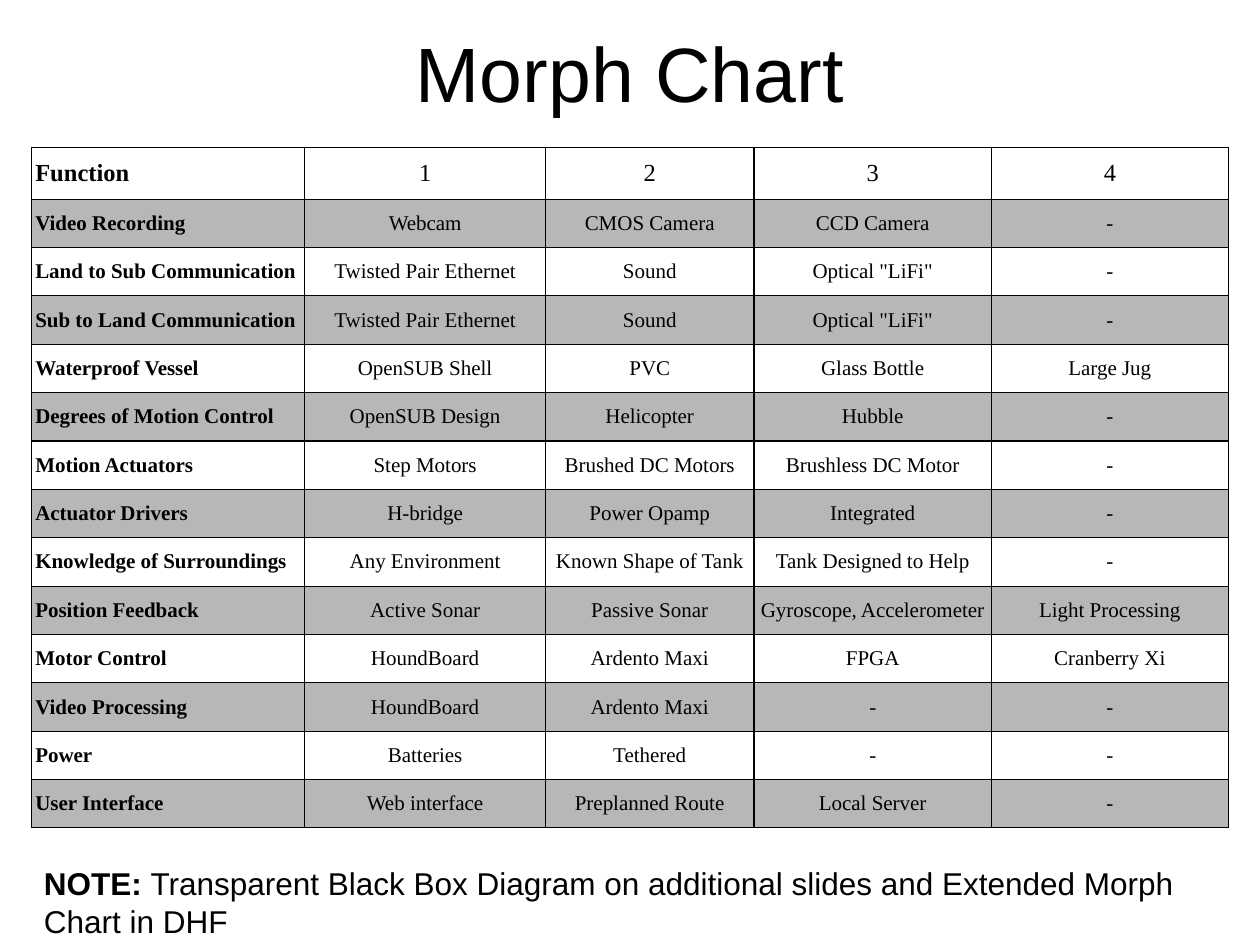
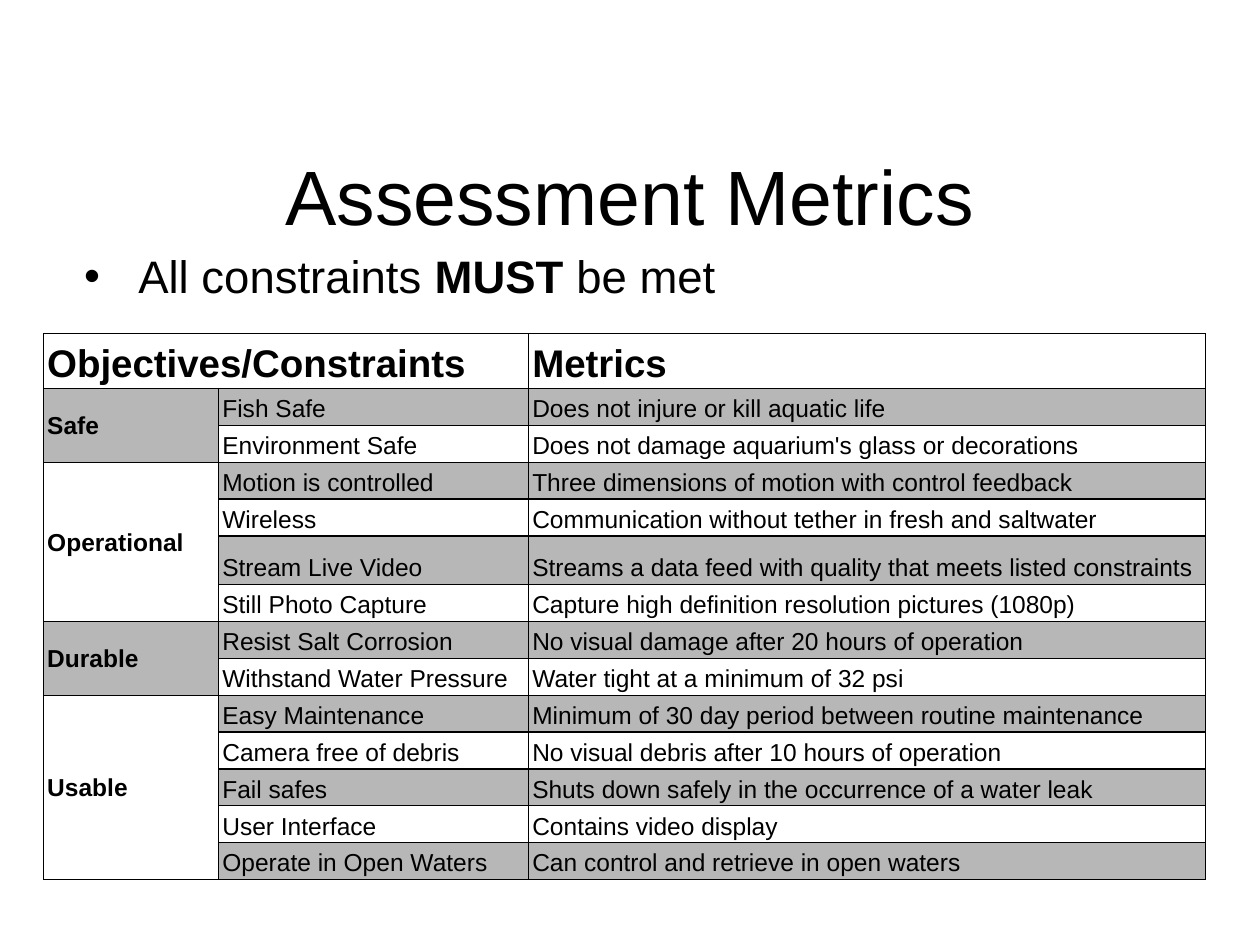
from lxml import etree
from pptx import Presentation
from pptx.dml.color import RGBColor
from pptx.enum.shapes import MSO_SHAPE
from pptx.enum.text import MSO_ANCHOR, PP_ALIGN
from pptx.oxml.ns import qn
from pptx.util import Inches, Pt

LEFT, CENTER = PP_ALIGN.LEFT, PP_ALIGN.CENTER
MIDDLE, BOTTOM, TOP = MSO_ANCHOR.MIDDLE, MSO_ANCHOR.BOTTOM, MSO_ANCHOR.TOP
RECT = MSO_SHAPE.RECTANGLE
TITLE_ONLY = 5

COLORS = {"ink": "000000", "paper": "FFFFFF", "band": "B7B7B7"}
SANS, SERIF = "Arial", "Times New Roman"
COLS, ROWS = 100, 75  # slide grid
UNIT = Inches(0.1)
SIDES = ("left", "top", "right", "bottom")
METRIC_SPACING = 1.07

MORPH_COLS = (21.7, 19.1, 16.55, 18.85, 18.8)
MORPH = [
    ("Function", "1", "2", "3", "4"),
    ("Video Recording", "Webcam", "CMOS Camera", "CCD Camera", "-"),
    ("Land to Sub Communication", "Twisted Pair Ethernet", "Sound",
     'Optical "LiFi"', "-"),
    ("Sub to Land Communication", "Twisted Pair Ethernet", "Sound",
     'Optical "LiFi"', "-"),
    ("Waterproof Vessel", "OpenSUB Shell", "PVC", "Glass Bottle", "Large Jug"),
    ("Degrees of Motion Control", "OpenSUB Design", "Helicopter", "Hubble", "-"),
    ("Motion Actuators", "Step Motors", "Brushed DC Motors",
     "Brushless DC Motor", "-"),
    ("Actuator Drivers", "H-bridge", "Power Opamp", "Integrated", "-"),
    ("Knowledge of Surroundings", "Any Environment", "Known Shape of Tank",
     "Tank Designed to Help", "-"),
    ("Position Feedback", "Active Sonar", "Passive Sonar",
     "Gyroscope, Accelerometer", "Light Processing"),
    ("Motor Control", "HoundBoard", "Ardento Maxi", "FPGA", "Cranberry Xi"),
    ("Video Processing", "HoundBoard", "Ardento Maxi", "-", "-"),
    ("Power", "Batteries", "Tethered", "-", "-"),
    ("User Interface", "Web interface", "Preplanned Route", "Local Server", "-"),
]

METRIC_COLS = (13.9, 24.6, 53.7)
METRICS = {
    "Safe": [
        ("Fish Safe", "Does not injure or kill aquatic life"),
        ("Environment Safe", "Does not damage aquarium's glass or decorations"),
    ],
    "Operational": [
        ("Motion is controlled", "Three dimensions of motion with control feedback"),
        ("Wireless", "Communication without tether in fresh and saltwater"),
        ("Stream Live Video",
         "Streams a data feed with quality that meets listed constraints"),
        ("Still Photo Capture", "Capture high definition resolution pictures (1080p)"),
    ],
    "Durable": [
        ("Resist Salt Corrosion", "No visual damage after 20 hours of operation"),
        ("Withstand Water Pressure", "Water tight at a minimum of 32 psi"),
    ],
    "Usable": [
        ("Easy Maintenance", "Minimum of 30 day period between routine maintenance"),
        ("Camera free of debris", "No visual debris after 10 hours of operation"),
        ("Fail safes", "Shuts down safely in the occurrence of a water leak"),
        ("User Interface", "Contains video display"),
        ("Operate in Open Waters", "Can control and retrieve in open waters"),
    ],
}


def units(*values):
    return [round(v * UNIT) for v in values]


def color(name):
    return RGBColor.from_string(COLORS[name])


def paint(target, name):
    target.fill.solid()
    target.fill.fore_color.rgb = color(name)


def write(p, runs, size, font=SANS, align=LEFT):
    """Fill a paragraph with (text, bold) runs."""
    p.alignment = align
    for text, bold in runs:
        r = p.add_run()
        r.text = text
        for key, value in {"name": font, "size": Pt(size), "bold": bold}.items():
            setattr(r.font, key, value)
        r.font.color.rgb = color("ink")


def frame(sp, anchor=MIDDLE):
    tf = sp.text_frame
    tf.word_wrap = True
    tf.vertical_anchor = anchor
    for side in SIDES:
        setattr(tf, f"margin_{side}", UNIT)
    return tf


def add_title(s, text, box):
    sp = s.shapes.title
    sp.left, sp.top, sp.width, sp.height = units(*box)
    write(frame(sp).paragraphs[0], [(text, False)], 44, align=CENTER)
    return sp


def add_grid(s, box, cols, heights, pad):
    """Place an empty table with thin borders and padded cells."""
    x, y = box
    place = units(x, y, sum(cols), sum(heights))
    table = s.shapes.add_table(len(heights), len(cols), *place).table
    for col, width in zip(table.columns, units(*cols)):
        col.width = width
    for row, height in zip(table.rows, units(*heights)):
        row.height = height
    for cell in table.iter_cells():
        for side, margin in zip(SIDES, units(0.3, pad, 0.3, pad)):
            setattr(cell, f"margin_{side}", margin)
        tcPr = cell._tc.get_or_add_tcPr()
        for edge in "LRTB":
            ln = etree.SubElement(tcPr, qn(f"a:ln{edge}"), w=str(Pt(0.75)))
            fill = etree.SubElement(ln, qn("a:solidFill"))
            etree.SubElement(fill, qn("a:srgbClr"), val=COLORS["ink"])
    return table


def fill_cell(cell, text, size, shade, bold=False, font=SANS, align=LEFT,
              anchor=MIDDLE, spacing=None):
    paint(cell, shade)
    cell.vertical_anchor = anchor
    p = cell.text_frame.paragraphs[0]
    p.line_spacing = spacing
    write(p, [(text, bold)], size, font, align)


def band(row):
    return "band" if row % 2 else "paper"


def add_morph_table(s, box):
    heights = [4.1] + [3.84] * (len(MORPH) - 1)
    table = add_grid(s, box, MORPH_COLS, heights, pad=0.98)
    for i, options in enumerate(MORPH):
        for j, text in enumerate(options):
            fill_cell(table.cell(i, j), text, 12 if i else 14, band(i),
                      bold=j == 0, font=SERIF, align=CENTER if j else LEFT)


def add_note(s, box):
    sp = s.shapes.add_shape(RECT, *units(*box))
    sp.shadow.inherit = False
    paint(sp, "paper")
    sp.line.fill.background()
    write(frame(sp).paragraphs[0], [
        ("NOTE: ", True),
        ("Transparent Black Box Diagram on additional slides and "
         "Extended Morph Chart in DHF", False)], 18)


def add_bullet(s, box):
    sp = s.shapes.add_textbox(*units(*box))
    p = frame(sp, TOP).paragraphs[0]
    pPr = p._p.get_or_add_pPr()
    pPr.set("marL", str(Inches(0.5)))
    pPr.set("indent", str(Inches(-0.43)))
    clr = etree.SubElement(pPr, qn("a:buClr"))
    etree.SubElement(clr, qn("a:srgbClr"), val=COLORS["ink"])
    etree.SubElement(pPr, qn("a:buSzPct"), val="100000")
    etree.SubElement(pPr, qn("a:buFont"), typeface=SANS)
    etree.SubElement(pPr, qn("a:buChar"), char="•")
    write(p, [("All constraints ", False), ("MUST", True), (" be met", False)], 26)


def add_metrics_table(s, box):
    lines = [pair for group in METRICS.values() for pair in group]
    heights = [4.3] + [3.85 if name == "Stream Live Video" else 2.93
                       for name, _ in lines]
    table = add_grid(s, box, METRIC_COLS, heights, pad=0.2)
    text_style = {"anchor": BOTTOM, "spacing": METRIC_SPACING}

    # Header
    table.cell(0, 0).merge(table.cell(0, 1))
    for j, text in ((0, "Objectives/Constraints"), (2, "Metrics")):
        fill_cell(table.cell(0, j), text, 22, "paper", bold=True, **text_style)

    # Objectives with their metrics
    for i, pair in enumerate(lines, 1):
        for j, text in enumerate(pair, 1):
            fill_cell(table.cell(i, j), text, 14, band(i), **text_style)

    # Groups spanning their objectives
    top = 1
    for k, (name, group) in enumerate(METRICS.items(), 1):
        cell = table.cell(top, 0)
        cell.merge(table.cell(top + len(group) - 1, 0))
        fill_cell(cell, name, 14, band(k), bold=True, spacing=METRIC_SPACING)
        top += len(group)


def morph_slide(prs):
    s = prs.slides.add_slide(prs.slide_layouts[TITLE_ONLY])
    paint(add_title(s, "Morph Chart", (31.15, -0.55, 37.7, 12.5)), "paper")
    add_morph_table(s, (2.5, 11.7))
    add_note(s, (2.5, 68.9, 94.2, 5.4))


def metrics_slide(prs):
    s = prs.slides.add_slide(prs.slide_layouts[TITLE_ONLY])
    add_title(s, "Assessment Metrics", (5, 9.2, 90, 12.5))
    add_bullet(s, (5, 18.7, 90, 8.3))
    add_metrics_table(s, (3.45, 26.5))


def main():
    prs = Presentation()
    prs.slide_width, prs.slide_height = units(COLS, ROWS)
    morph_slide(prs)
    metrics_slide(prs)
    prs.save("out.pptx")


if __name__ == "__main__":
    main()
